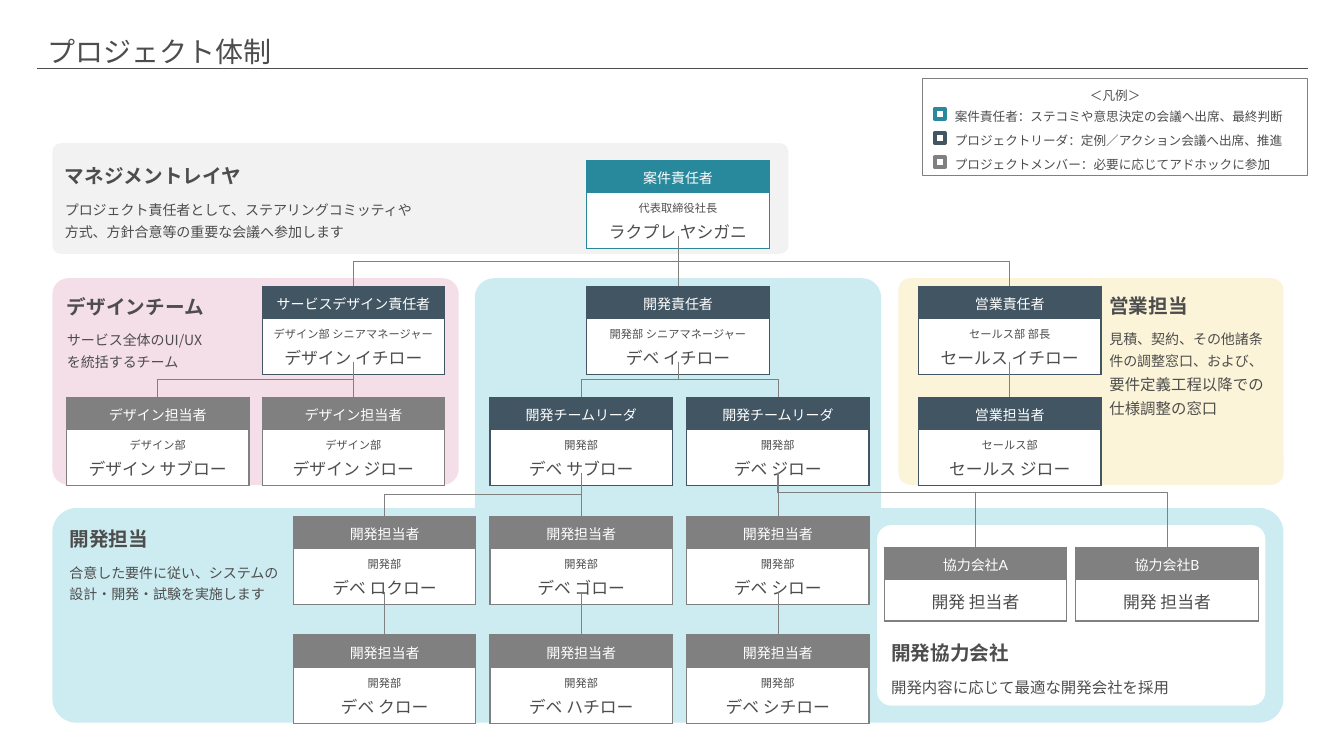
from pptx import Presentation
from pptx import util as u
from pptx.dml.color import RGBColor
from pptx.enum import shapes, text
from pptx.oxml import parse_xml
from pptx.oxml.ns import nsdecls, qn

# Theme
THEME = {
    "ink": "4D4D4D", "white": "FFFFFF", "teal": "28889C", "navy": "425563",
    "gray": "808080", "pale": "F2F2F2", "pink": "F4DEE8", "aqua": "CDECF2",
    "cream": "FBF4D8", "font": "Noto Sans CJK JP", "card": "Lato",
    "title": 20, "head": 14, "name": 12, "note": 11, "body": 10,
    "key": 9, "dept": 8,
}

# Content
TITLE = "プロジェクト体制"

# left, top, width, height, corner, fill, anchor, indent, heading, (text, size) runs
PANELS = [
    (8.03, 5.04, 4.7, 2.13, .113, "aqua", "top", 0, "", []),
    (.52, 1.42, 7.3, 1.1, .077, "pale", "mid", 0, "マネジメントレイヤ",
     [("プロジェクト責任者として、ステアリングコミッティや\n"
       "方式、方針合意等の重要な会議へ参加します", "body")]),
    (.52, 2.76, 4.03, 2.05, .077, "pink", "top", 0, "デザインチーム",
     [("サービス全体のUI/UX\nを統括するチーム", "body")]),
    (4.71, 2.76, 4.03, 4.41, .047, "aqua", "top", 0, "", []),
    (8.91, 2.76, 3.82, 2.05, .058, "cream", "top", 1.96, "営業担当",
     [("見積、契約、その他諸条件の調整窓口、および、", "body"),
      ("要件定義工程以降での仕様調整の窓口", "note")]),
    (.52, 5.04, 4.7, 2.13, .113, "aqua", "top", 0, "開発担当",
     [("合意した要件に従い、システムの\n設計・開発・試験を実施します", "body")]),
    (8.7, 5.21, 3.85, 1.79, .077, "white", "low", 0, "開発協力会社",
     [("開発内容に応じて最適な開発会社を採用", "note")]),
]

# Card columns and rows
COLS = {"d1": .66, "d2": 2.6, "mid": 5.82, "sale": 9.11, "pa": 8.77, "pb": 10.67}
COLS.update({f"v{i}": 2.91 + 1.95 * i for i in range(3)})
ROWS = {"top": 1.59, "chief": 2.84, "lead": 3.94, "dev": 5.12, "more": 6.3, "part": 5.43}
WIDE, HIGH, SHORT = 1.81, .75, .68

# column, row, colour, role, department, name
CARDS = [
    ("mid", "top", "teal", "案件責任者", "代表取締役社長", "ラクプレ ヤシガニ"),
    ("d2", "chief", "navy", "サービスデザイン責任者", "デザイン部 シニアマネージャー", "デザイン イチロー"),
    ("d2", "lead", "gray", "デザイン担当者", "デザイン部", "デザイン ジロー"),
    ("d1", "lead", "gray", "デザイン担当者", "デザイン部", "デザイン サブロー"),
    ("mid", "chief", "navy", "開発責任者", "開発部 シニアマネージャー", "デベ イチロー"),
    ("v1", "lead", "navy", "開発チームリーダ", "開発部", "デベ サブロー"),
    ("v2", "lead", "navy", "開発チームリーダ", "開発部", "デベ ジロー"),
    ("v2", "dev", "gray", "開発担当者", "開発部", "デベ シロー"),
    ("v2", "more", "gray", "開発担当者", "開発部", "デベ シチロー"),
    ("v1", "dev", "gray", "開発担当者", "開発部", "デベ ゴロー"),
    ("v1", "more", "gray", "開発担当者", "開発部", "デベ ハチロー"),
    ("v0", "dev", "gray", "開発担当者", "開発部", "デベ ロクロー"),
    ("v0", "more", "gray", "開発担当者", "開発部", "デベ クロー"),
    ("sale", "chief", "navy", "営業責任者", "セールス部 部長", "セールス イチロー"),
    ("sale", "lead", "navy", "営業担当者", "セールス部", "セールス ジロー"),
    ("pa", "part", "gray", "協力会社A", "", "開発 担当者"),
    ("pb", "part", "gray", "協力会社B", "", "開発 担当者"),
]

# upper card, lower cards, bend as a share of the drop
LINKS = [
    ("mid top", ["d2 chief", "mid chief", "sale chief"], .5),
    ("d2 chief", ["d2 lead", "d1 lead"], .5),
    ("mid chief", ["v1 lead", "v2 lead"], .5),
    ("sale chief", ["sale lead"], .5),
    ("v1 lead", ["v0 dev", "v1 dev"], .5),
    ("v2 lead", ["v2 dev"], .5),
    ("v2 lead", ["pa part", "pb part"], .27),
    ("v0 dev", ["v0 more"], .5),
    ("v1 dev", ["v1 more"], .5),
    ("v2 dev", ["v2 more"], .5),
]

KEY = "＜凡例＞"
KEYS = [
    ("teal", "案件責任者：ステコミや意思決定の会議へ出席、最終判断"),
    ("navy", "プロジェクトリーダ：定例／アクション会議へ出席、推進"),
    ("gray", "プロジェクトメンバー：必要に応じてアドホックに参加"),
]

ANCHOR = {"top": text.MSO_ANCHOR.TOP, "mid": text.MSO_ANCHOR.MIDDLE,
          "low": text.MSO_ANCHOR.BOTTOM}
LEFT, CENTER = text.PP_ALIGN.LEFT, text.PP_ALIGN.CENTER

prs = Presentation()
prs.slide_width, prs.slide_height = u.Inches(13.33), u.Inches(7.5)
slide = prs.slides.add_slide(prs.slide_layouts[5])


def tint(name):
    return RGBColor.from_string(THEME[name])


def write(para, runs, color="ink", face="font", bold=False, align=LEFT,
          gap=1.3, after=6, indent=0):
    para.alignment, para.line_spacing, para.space_after = align, gap, u.Pt(after)
    if indent:
        para._p.get_or_add_pPr().set("marL", str(u.Inches(indent)))
    for words, size in runs:
        for i, part in enumerate(words.split("\n")):
            if i:
                para.add_line_break()
            run = para.add_run()
            run.text = part
            font = run.font
            font.name, font.size, font.bold = THEME[face], u.Pt(THEME[size]), bold
            font.color.rgb = tint(color)
            ea = parse_xml(f'<a:ea {nsdecls("a")} typeface="{THEME["font"]}"/>')
            run._r.rPr.find(qn("a:latin")).addnext(ea)


def block(kind, x, y, w, h, fill, line=None, weight=1):
    shape = slide.shapes.add_shape(kind, *map(u.Inches, (x, y, w, h)))
    shape.shadow.inherit = False
    shape.fill.solid()
    shape.fill.fore_color.rgb = tint(fill)
    if line:
        shape.line.color.rgb, shape.line.width = tint(line), u.Pt(weight)
    else:
        shape.line.fill.background()
    return shape


def edge(cell, color):
    for side in "LRTB":
        cell._tc.get_or_add_tcPr().append(parse_xml(
            f'<a:ln{side} {nsdecls("a")} w="12700"><a:solidFill>'
            f'<a:srgbClr val="{THEME[color]}"/></a:solidFill></a:ln{side}>'))


def card(col, row, color, role, dept, name):
    high = HIGH if dept else SHORT
    frame = slide.shapes.add_table(2, 1, *map(u.Inches, (COLS[col], ROWS[row], WIDE, high)))
    table = frame.table
    table.first_row = table.horz_banding = False
    table.rows[0].height, table.rows[1].height = u.Inches(.25), u.Inches(.41)
    frame.height = u.Inches(high)
    lines = [(dept, "dept")] if dept else []
    parts = [(color, "white", [(role, "body")]),
             ("white", "ink", lines + [(name, "name")])]
    for i, (fill, ink, rows) in enumerate(parts):
        cell = table.cell(i, 0)
        edge(cell, color)
        cell.fill.solid()
        cell.fill.fore_color.rgb = tint(fill)
        cell.vertical_anchor = ANCHOR["mid"]
        for j, run in enumerate(rows):
            para = cell.text_frame.add_paragraph() if j else cell.text_frame.paragraphs[0]
            write(para, [run], ink, "card", align=CENTER, gap=1.1, after=1)


def link(upper, lower, bend):
    (a, b), (c, d) = upper.split(), lower.split()
    x, y = COLS[a] + WIDE / 2, ROWS[b] + HIGH
    dx, dy = COLS[c] - COLS[a], ROWS[d] - y
    if abs(dx) < .01:
        kind, ends = shapes.MSO_CONNECTOR.STRAIGHT, (x, y, x, y + dy)
    else:
        # An elbow leaves sideways, so it is laid flat and turned about its middle
        kind, mx, my = shapes.MSO_CONNECTOR.ELBOW, x + dx / 2, y + dy / 2
        ends = (mx - dy / 2, my - abs(dx) / 2, mx + dy / 2, my + abs(dx) / 2)
    line = slide.shapes.add_connector(kind, *map(u.Inches, ends))
    line.line.color.rgb, line.line.width = tint("gray"), u.Pt(.5)
    props = line._element.spPr
    props.append(parse_xml(f'<a:effectLst {nsdecls("a")}/>'))
    if kind == shapes.MSO_CONNECTOR.ELBOW:
        props.xfrm.set("rot", str((90 if dx < 0 else 270) * 60000))
        if dx > 0:
            props.xfrm.set("flipH", "1")
        props.find(qn("a:prstGeom")).find(qn("a:avLst")).append(parse_xml(
            f'<a:gd {nsdecls("a")} name="adj1" fmla="val {round(bend * 100000)}"/>'))


# Title, underlined by its own outline
title = slide.shapes.title
title.left, title.top, title.width, title.height = map(u.Inches, (.37, .68, 12.6, 0))
title.line.color.rgb, title.line.width = tint("ink"), u.Pt(.75)
title.text_frame.auto_size = text.MSO_AUTO_SIZE.NONE
title.text_frame.vertical_anchor = ANCHOR["low"]
write(title.text_frame.paragraphs[0], [(TITLE, "title")], gap=.9, after=0)

# Team panels
for x, y, w, h, corner, fill, anchor, indent, head, runs in PANELS:
    panel = block(shapes.MSO_SHAPE.ROUNDED_RECTANGLE, x, y, w, h, fill)
    panel.adjustments[0] = corner
    if head:
        frame = panel.text_frame
        frame.vertical_anchor = ANCHOR[anchor]
        write(frame.paragraphs[0], [(head, "head")], bold=True, indent=indent)
        write(frame.add_paragraph(), runs, indent=indent)

# People and reporting lines
for item in CARDS:
    card(*item)
for upper, lowers, bend in LINKS:
    for lower in lowers:
        link(upper, lower, bend)

# Legend
box = block(shapes.MSO_SHAPE.RECTANGLE, 9.15, .78, 3.82, .96, "white", "gray")
box.text_frame.vertical_anchor = ANCHOR["top"]
write(box.text_frame.paragraphs[0], [(KEY, "key")], align=CENTER)
for i, (color, words) in enumerate(KEYS):
    mark = block(shapes.MSO_SHAPE.RECTANGLE, 9.27, 1.08 + .24 * i, .1, .1, "white", color, 3)
    frame = mark.text_frame
    frame.word_wrap, frame.vertical_anchor = False, ANCHOR["mid"]
    frame.margin_left = frame.margin_right = frame.margin_top = frame.margin_bottom = 0
    write(frame.paragraphs[0], [(words, "key")], indent=.2)

prs.save("out.pptx")
